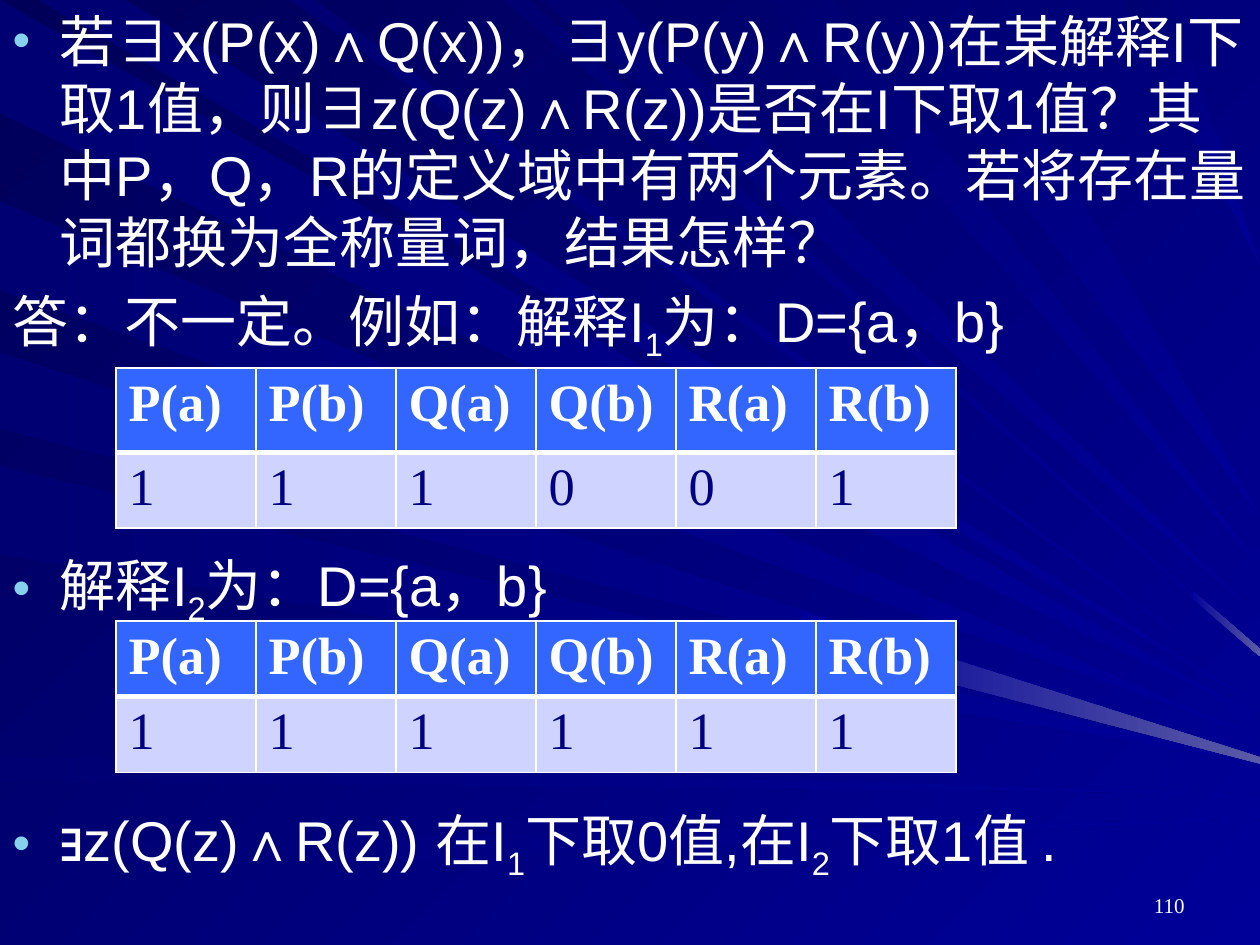
from lxml import etree
from pptx import Presentation
from pptx import util as u
from pptx.dml.color import RGBColor
from pptx.enum import text
from pptx.oxml.ns import qn

COLORS = {
    "white": "FFFFFF", "navy": "000080", "header": "3366FF", "cell": "CED3FF",
    "bullet": "86D1EC", "bg_dark": "000058", "bg_light": "000099",
    "ray": "000073", "glow": "5A5AA6",
}
COLS, ROWS = 10, 7.5  # one grid unit is an inch

# Rays widen from a tip on the right edge: start, end on the edge, height of tip
LEFT_RAYS = [(0, .9, 5.7), (1.6, 2.3, 5.85), (2.8, 3.4, 6), (3.7, 4.4, 6.05),
             (6, 6.2, 6.3), (6.7, 7, 6.5)]
TOP_RAYS = [(.3, 1, 5.6), (2.3, 2.5, 5.5), (4, 4.2, 5.2), (4.3, 4.9, 4.9),
            (6.1, 6.6, 4.5), (6.9, 7.7, 4.1), (8.9, 9.3, 2.1)]
# Bright ends of rays
GLOWS = [[(6.33, 5.11), (6.37, 4.85), (10, 6.01), (10, 6.06)],
         [(9.44, 4.73), (9.47, 4.69), (10, 5.15), (10, 5.21)]]

# Body paragraphs: bulleted, space before in points, text with _subscripts_
BODY = [
    (True, 0, "若∃x(P(x)∧Q(x))，∃y(P(y)∧R(y))在某解释I下取1值，则∃z(Q(z)∧R(z))是否在I下取1值？"
              "其中P，Q，R的定义域中有两个元素。若将存在量词都换为全称量词，结果怎样？"),
    (False, 6.4, "答：不一定。例如：解释I_1_为：D={a，b}"),
    (True, 107, "解释I_2_为：D={a，b}"),
    (True, 102, "∃z(Q(z)∧R(z)) 在I_1_下取0值,在I_2_下取1值 ."),
]
HEADERS = ["P(a)", "P(b)", "Q(a)", "Q(b)", "R(a)", "R(b)"]


def rgb(name):
    return RGBColor.from_string(COLORS[name])


def add_text(p, words, size=32, font="Arial", color="white", bold=False):
    """Add runs to a paragraph; parts between underscores are subscripts."""
    for i, part in enumerate(words.split("_")):
        r = p.add_run()
        r.text = part
        r.font.size, r.font.name, r.font.bold = u.Pt(size), font, bold
        r.font.color.rgb = rgb(color)
        if i % 2:
            r.font._element.set("baseline", "-25000")


def add_bullet(p, char="•"):
    pPr = p._p.get_or_add_pPr()
    clr = etree.SubElement(pPr, qn("a:buClr"))
    etree.SubElement(clr, qn("a:srgbClr"), val=COLORS["bullet"])
    etree.SubElement(pPr, qn("a:buSzPct"), val="90000")
    etree.SubElement(pPr, qn("a:buChar"), char=char)


def set_gradient(fill, start, end, angle):
    fill.gradient()
    fill.gradient_angle = -angle % 360
    for stop, color in zip(fill.gradient_stops, (start, end)):
        stop.color.rgb = rgb(color)


def set_borders(cell, **widths):
    tcPr = cell._tc.get_or_add_tcPr()
    for i, side in enumerate("LRTB"):
        ln = etree.Element(qn("a:ln" + side), w=str(u.Pt(widths.get(side, 1))))
        fill = etree.SubElement(ln, qn("a:solidFill"))
        etree.SubElement(fill, qn("a:srgbClr"), val=COLORS["white"])
        tcPr.insert(i, ln)


class Deck:
    serif = "Times New Roman"

    def __init__(self):
        self.prs = Presentation()
        self.prs.slide_width, self.prs.slide_height = u.Inches(COLS), u.Inches(ROWS)
        self.s = self.prs.slides.add_slide(self.prs.slide_layouts[1])
        title = self.s.shapes.title._element
        title.getparent().remove(title)

    def box(self, *grid):
        return [u.Inches(n) for n in grid]

    def background(self):
        set_gradient(self.s.background.fill, "bg_dark", "bg_light", 45)

    def ray(self, corners, start="ray", end="bg_light", angle=0):
        pts = [self.box(*corner) for corner in corners]
        fb = self.s.shapes.build_freeform(*pts[0])
        fb.add_line_segments(pts[1:], close=True)
        sp = fb.convert_to_shape()
        sp.shadow.inherit = False
        sp.line.fill.background()
        set_gradient(sp.fill, start, end, angle)

    def body(self, paragraphs, *grid):
        sp = self.s.placeholders[1]
        self.s.shapes._spTree.append(sp._element)  # in front of the rays
        sp.left, sp.top, sp.width, sp.height = self.box(*grid)
        tf = sp.text_frame
        tf.auto_size = text.MSO_AUTO_SIZE.NONE
        for i, (bulleted, before, words) in enumerate(paragraphs):
            p = tf.add_paragraph() if i else tf.paragraphs[0]
            if bulleted:
                add_bullet(p)
            else:
                etree.SubElement(p._p.get_or_add_pPr(), qn("a:buNone"))
            p.space_before = u.Pt(before)
            add_text(p, words)

    def table(self, values, top, heights):
        grid = self.box(.92, top, 6.67, sum(heights))
        tbl = self.s.shapes.add_table(2, len(HEADERS), *grid).table
        for row, height in zip(tbl.rows, heights):
            row.height = u.Inches(height)
        for c, column in enumerate(zip(HEADERS, values)):
            for r, words in enumerate(column):
                cell, head = tbl.cell(r, c), r == 0
                cell.fill.solid()
                cell.fill.fore_color.rgb = rgb("header" if head else "cell")
                set_borders(cell, **{"B" if head else "T": 3})
                add_text(cell.text_frame.paragraphs[0], words, size=30, font=self.serif,
                         color="white" if head else "navy", bold=head)

    def page_number(self, number, *grid):
        tf = self.s.shapes.add_textbox(*self.box(*grid)).text_frame
        tf.word_wrap = True
        tf.vertical_anchor = text.MSO_ANCHOR.BOTTOM
        p = tf.paragraphs[0]
        p.alignment = text.PP_ALIGN.RIGHT
        add_text(p, number, size=12, font=self.serif)


def main():
    deck = Deck()
    # Backdrop
    deck.background()
    for a, b, tip in LEFT_RAYS:
        deck.ray([(0, a), (0, b), (COLS, tip)])
    for a, b, tip in TOP_RAYS:
        deck.ray([(a, 0), (b, 0), (COLS, tip)], angle=45)
    for corners in GLOWS:
        deck.ray(corners, start="bg_light", end="glow")
    # Question, answer and the two interpretations
    deck.body(BODY, 0, 0, COLS, 6.83)
    deck.table("111001", 2.92, (.67, .6))
    deck.table("111111", 4.93, (.6, .6))
    # Footer
    deck.page_number("110", 7.17, 6.83, 2.33, .5)
    deck.prs.save("out.pptx")


if __name__ == "__main__":
    main()
